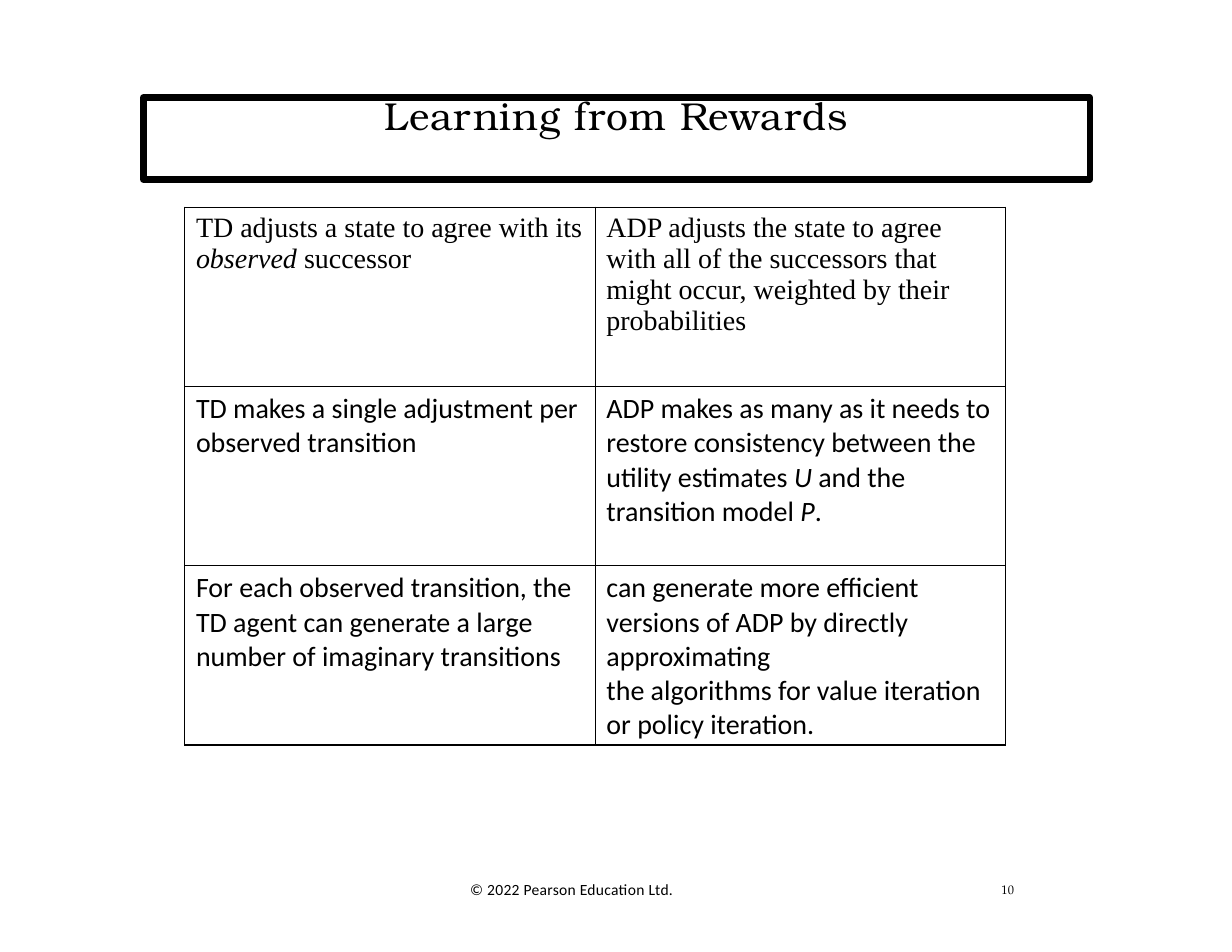
"""Build the "Learning from Rewards" comparison slide."""
import lxml.etree
import pptx
import pptx.dml.color
import pptx.enum.text
import pptx.oxml.ns
import pptx.util
from pptx.util import Inches

COLORS = {"ink": "000000", "paper": "FFFFFF"}
ROWS = [
    ("Times New Roman",
     [[("TD adjusts a state to agree with its ", False), ("observed ", True), ("successor", False)]],
     [[("ADP adjusts the state to agree with all of the successors that might occur, "
        "weighted by their probabilities", False)]]),
    ("Calibri",
     [[("TD makes a single adjustment per observed transition", False)]],
     [[("ADP makes as many as it needs to restore consistency between the utility estimates ", False),
       ("U ", True), ("and the transition model ", False), ("P", True), (".", False)]]),
    ("Calibri",
     [[("For each observed transition, the TD agent can generate a large number of "
        "imaginary transitions", False)]],
     [[("can generate more efficient versions of ADP by directly approximating", False)],
      [("the algorithms for value iteration or policy iteration.", False)]]),
]


class SlideBuilder:
    """Hold the style and the current slide, and add its elements."""

    def __init__(self, deck):
        """Start a title-only page with a plain background."""
        self.ink = pptx.dml.color.RGBColor.from_string(COLORS["ink"])
        self.page = deck.slides.add_slide(deck.slide_layouts[5])
        self.page.background.fill.solid()
        self.page.background.fill.fore_color.rgb = pptx.dml.color.RGBColor.from_string(COLORS["paper"])

    def apply(self, target, values):
        """Set each named format value on the target."""
        for name, value in values.items():
            setattr(target, name, value)

    def add_span(self, para, text, tracking=None, **style):
        """Add a formatted run to a paragraph."""
        span = para.add_run()
        span.text = text
        style["size"] = pptx.util.Pt(style["size"])
        self.apply(span.font, style)
        span.font.color.rgb = self.ink
        if tracking:
            span._r.get_or_add_rPr().set("spc", str(tracking))

    def fit(self, frame, margin=None):
        """Make a text frame wrap from its top and grow with its text."""
        self.apply(frame, {"word_wrap": True,
                           "vertical_anchor": pptx.enum.text.MSO_ANCHOR.TOP,
                           "auto_size": pptx.enum.text.MSO_AUTO_SIZE.SHAPE_TO_FIT_TEXT})
        if margin is not None:
            sides = ("margin_left", "margin_top", "margin_right", "margin_bottom")
            self.apply(frame, dict.fromkeys(sides, margin))

    def title(self, text, left, top, width, height):
        """Fill the title placeholder and frame it."""
        box = self.page.shapes.title
        self.apply(box, {"left": left, "top": top, "width": width, "height": height})
        box.line.color.rgb = self.ink
        box.line.width = pptx.util.Pt(4.08)
        self.fit(box.text_frame, 0)
        para = box.text_frame.paragraphs[0]
        self.apply(para, {"alignment": pptx.enum.text.PP_ALIGN.CENTER,
                          "line_spacing": pptx.util.Pt(26.4)})
        self.add_span(para, text, 70, size=25, name="TeX Gyre Bonum")

    def label(self, text, left, top, width, height, margin=None, indent=0, spacing=None, **style):
        """Add a small text box."""
        box = self.page.shapes.add_textbox(left, top, width, height)
        self.fit(box.text_frame, margin)
        para = box.text_frame.paragraphs[0]
        if indent:
            para._p.get_or_add_pPr().set("marL", str(indent))
        para.line_spacing = spacing
        self.add_span(para, text, 20, **style)

    def border(self, cell):
        """Draw thin lines on all four sides of a cell."""
        properties = cell._tc.get_or_add_tcPr()
        tag = pptx.oxml.ns.qn
        for side in ("a:lnL", "a:lnR", "a:lnT", "a:lnB"):
            line = lxml.etree.SubElement(properties, tag(side), w=str(pptx.util.Pt(1)))
            fill = lxml.etree.SubElement(line, tag("a:solidFill"))
            lxml.etree.SubElement(fill, tag("a:srgbClr"), val=COLORS["ink"])

    def table(self, rows, left, top, width, height):
        """Add the comparison table with equal rows and columns."""
        grid = self.page.shapes.add_table(len(rows), 2, left, top, width, height).table
        self.apply(grid, {"first_row": False, "horz_banding": False})
        for row, (font, *texts) in enumerate(rows):
            for column, paragraphs in enumerate(texts):
                cell = grid.cell(row, column)
                self.border(cell)
                cell.fill.background()
                for number, spans in enumerate(paragraphs):
                    frame = cell.text_frame
                    para = frame.add_paragraph() if number else frame.paragraphs[0]
                    for text, italic in spans:
                        self.add_span(para, text, size=18, name=font, italic=italic)


def main():
    """Build and save the deck."""
    deck = pptx.Presentation()
    deck.slide_width, deck.slide_height = Inches(11), Inches(8.5)
    builder = SlideBuilder(deck)
    builder.label("© 2022 Pearson Education Ltd.", Inches(4.1), Inches(7.81), Inches(3.75),
                  Inches(0.44), size=10, name="Calibri")
    builder.label("10", Inches(8.9), Inches(7.89), Inches(0.21), Inches(0.14), margin=0,
                  indent=Inches(0.04), spacing=pptx.util.Pt(8.6), size=8, name="TeX Gyre Pagella")
    builder.title("Learning from Rewards", Inches(1.28), Inches(0.87), Inches(8.45), Inches(0.36))
    builder.table(ROWS, Inches(1.65), Inches(1.85), Inches(7.33), Inches(4.8))
    deck.save("out.pptx")


if __name__ == "__main__":
    main()
